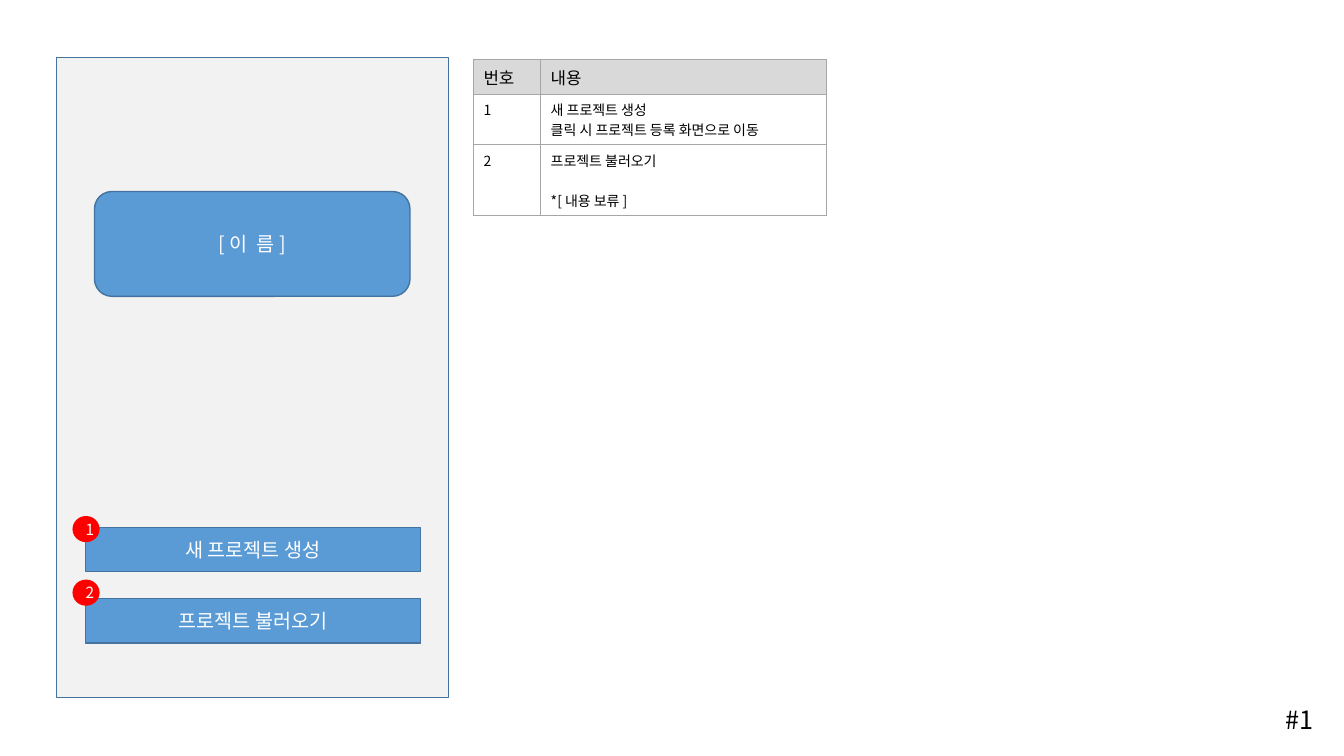
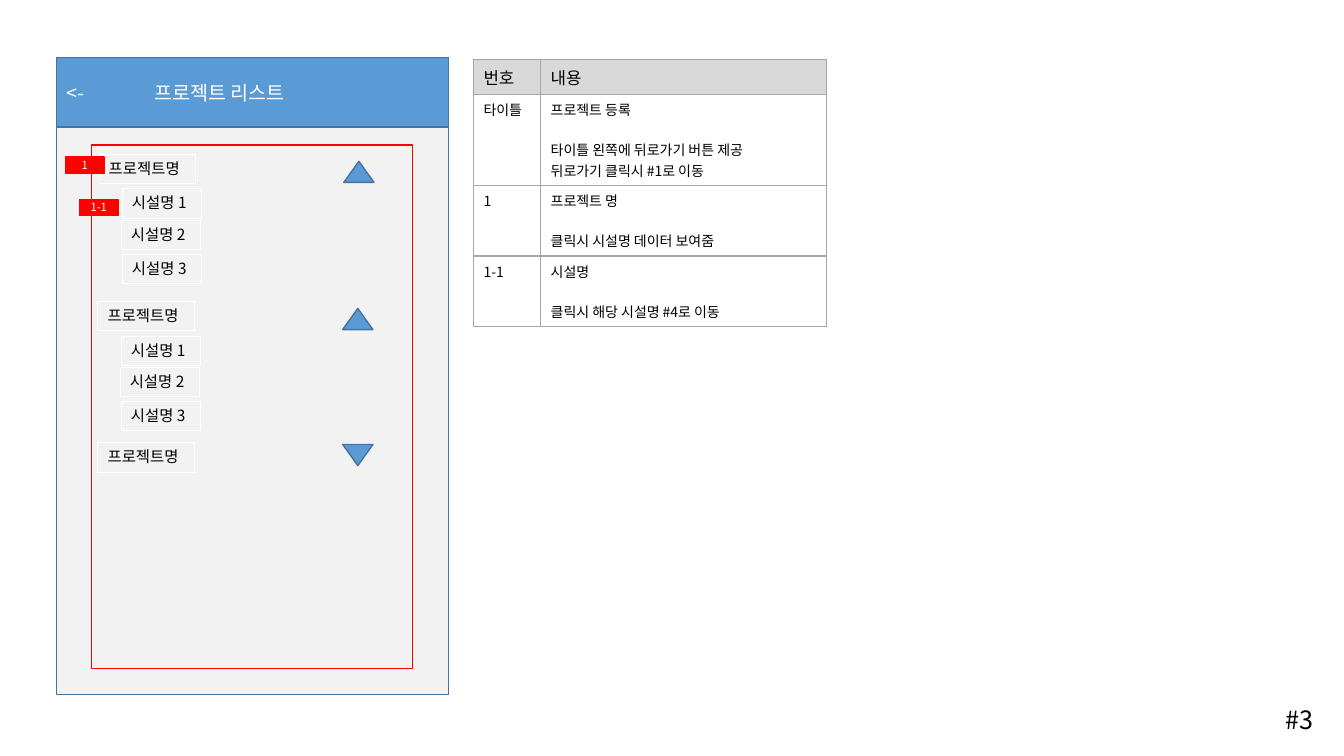
import pptx
import pptx.util
import pptx.dml.color
import pptx.enum.shapes
import pptx.enum.text
import pptx.oxml.ns
import lxml.etree
from collections import namedtuple
from dataclasses import dataclass

Pt = pptx.util.Pt
Shape = pptx.enum.shapes.MSO_SHAPE
Align = pptx.enum.text.PP_ALIGN
Anchor = pptx.enum.text.MSO_ANCHOR
qn = pptx.oxml.ns.qn
Box = namedtuple("Box", "left top width height")


@dataclass(frozen=True)
class Theme:
    font: str = "Noto Sans CJK KR"
    blue: str = "5B9BD5"
    edge: str = "43739E"
    panel: str = "F2F2F2"
    head: str = "D9D9D9"
    grid: str = "A6A6A6"
    red: str = "FF0000"
    white: str = "FFFFFF"
    black: str = "000000"
    page_size: int = 18
    button_size: int = 14
    head_size: int = 12
    label_size: int = 11
    body_size: int = 10
    tag_size: int = 8
    block_gap: float = 14.4


THEME = Theme()
PANEL = Box(40.3, 41, 280, 457.2)
LIST_PANEL = PANEL._replace(height=455)
TABLE = Box(338.2, 42.5, 252.4, 0)
NUMBER_WIDTH = 48
HEAD_HEIGHT = 25
PAGE_TAG = Box(911.2, 499.3, 35.3, 28.8)


def color(value):
    return pptx.dml.color.RGBColor.from_string(value)


def inside(box, left, top, width, height):
    """Box given by its offset from the corner of another box."""
    return Box(box.left + left, box.top + top, width, height)


def write(frame, text, size=THEME.body_size, ink=THEME.black, align=Align.LEFT):
    """Blank lines part blocks, shown as space before the next block."""
    para = None
    for block in text.split("\n\n"):
        for index, line in enumerate(block.split("\n")):
            gap = THEME.block_gap if para is not None and index == 0 else 0
            para = frame.paragraphs[0] if para is None else frame.add_paragraph()
            para.alignment = align
            para.space_before = Pt(gap)
            span = para.add_run()
            span.text = line
            span.font.size = Pt(size)
            span.font.color.rgb = color(ink)
            span.font.name = THEME.font
            asian = lxml.etree.SubElement(span._r.get_or_add_rPr(), qn("a:ea"))
            asian.set("typeface", THEME.font)
    return para


def paint(shape, fill=None, line=None, weight=1):
    if fill:
        shape.fill.solid()
        shape.fill.fore_color.rgb = color(fill)
    else:
        shape.fill.background()
    if line:
        shape.line.color.rgb = color(line)
        shape.line.width = Pt(weight)
    else:
        shape.line.fill.background()


def add_block(page, kind, box, fill=THEME.blue, line=THEME.edge, text=None,
              size=THEME.button_size):
    shape = page.shapes.add_shape(kind, *map(Pt, box))
    shape.shadow.inherit = False
    paint(shape, fill, line)
    if text:
        shape.text_frame.vertical_anchor = Anchor.MIDDLE
        write(shape.text_frame, text, size=size, ink=THEME.white, align=Align.CENTER)
    return shape


def add_label(page, box, text, size=THEME.label_size):
    label = page.shapes.add_textbox(*map(Pt, box))
    paint(label, line=THEME.white, weight=0.25)
    label.text_frame.word_wrap = False
    write(label.text_frame, text, size=size)


def style_cell(cell, fill):
    props = cell._tc.get_or_add_tcPr()
    for side in ("lnL", "lnR", "lnT", "lnB"):
        border = lxml.etree.SubElement(props, qn("a:" + side), w=str(Pt(1)))
        solid = lxml.etree.SubElement(border, qn("a:solidFill"))
        lxml.etree.SubElement(solid, qn("a:srgbClr"), val=THEME.grid)
    cell.fill.solid()
    cell.fill.fore_color.rgb = color(fill)


def add_notes_table(page, box, rows):
    """Each row holds its height, number and description."""
    rows = [(HEAD_HEIGHT, "번호", "내용")] + rows
    height = sum(row[0] for row in rows)
    table = page.shapes.add_table(len(rows), 2, *map(Pt, box._replace(height=height))).table
    table.columns[0].width = Pt(NUMBER_WIDTH)
    table.columns[1].width = Pt(box.width - NUMBER_WIDTH)
    for index, (row_height, *texts) in enumerate(rows):
        table.rows[index].height = Pt(row_height)
        for column, text in enumerate(texts):
            cell = table.cell(index, column)
            style_cell(cell, THEME.white if index else THEME.head)
            write(cell.text_frame, text,
                  size=THEME.body_size if index else THEME.head_size)


def add_screen(page, box):
    return add_block(page, Shape.RECTANGLE, box, fill=THEME.panel)


def add_title_bar(page, screen, box, text):
    """Title placeholder as the blue bar, set in front of the screen."""
    title = page.shapes.title
    title.left, title.top, title.width, title.height = map(Pt, box)
    paint(title, THEME.blue, THEME.edge)
    screen.element.addnext(title.element)
    frame = title.text_frame
    frame.auto_size = pptx.enum.text.MSO_AUTO_SIZE.NONE
    frame.vertical_anchor = Anchor.MIDDLE
    para = write(frame, text, size=THEME.button_size, ink=THEME.white)
    stops = lxml.etree.SubElement(para._p.get_or_add_pPr(), qn("a:tabLst"))
    lxml.etree.SubElement(stops, qn("a:tab"), pos=str(Pt(62.5)), algn="l")


def add_project(page, box, facilities, arrow_top):
    """Project name, its arrow and, when open, its facilities."""
    add_label(page, box, "프로젝트명")
    arrow = add_block(page, Shape.ISOSCELES_TRIANGLE,
                      inside(box, 175, arrow_top, 21.6, 15.1))
    if not facilities:
        arrow.rotation = 180
    offsets = ((16.6, 24.5), (15.8, 46.8), (16.6, 71.3))
    for number, (left, top) in enumerate(offsets[:facilities], 1):
        add_label(page, inside(box, left, top, 56.9, 20.9), f"시설명 {number}")


def build_start(deck):
    page = deck.slides.add_slide(deck.slide_layouts[6])
    add_screen(page, PANEL)
    add_block(page, Shape.ROUNDED_RECTANGLE, inside(PANEL, 27.2, 95.8, 225.4, 74.9),
              text="[ 이  름 ]")
    # Buttons with numbered badges
    for index, text in enumerate(("새 프로젝트 생성", "프로젝트 불러오기")):
        add_block(page, Shape.RECTANGLE,
                  inside(PANEL, 20.9, 335.6 + 51.1 * index, 239, 31.7), text=text)
        add_block(page, Shape.OVAL,
                  inside(PANEL, 11.5, 327.6 + 45.4 * index, 19.4, 18.7),
                  fill=THEME.red, line=None, text=str(index + 1),
                  size=THEME.label_size)
    add_notes_table(page, TABLE, [
        (35.8, "1", "새 프로젝트 생성\n클릭 시 프로젝트 등록 화면으로 이동"),
        (50.6, "2", "프로젝트 불러오기\n\n*[ 내용 보류 ]"),
    ])
    add_label(page, PAGE_TAG, "#1", size=THEME.page_size)


def build_list(deck):
    page = deck.slides.add_slide(deck.slide_layouts[5])
    screen = add_screen(page, LIST_PANEL)
    add_title_bar(page, screen, LIST_PANEL._replace(height=49.7), "<-\t프로젝트 리스트")
    # Project list
    add_block(page, Shape.RECTANGLE, inside(LIST_PANEL, 25.2, 62.7, 229, 373.7),
              fill=None, line=THEME.red)
    for left, top, facilities, arrow_top in (
            (30.3, 69.2, 3, 5), (29.5, 174.3, 3, 5), (29.5, 275.1, 0, 1.4)):
        add_project(page, inside(LIST_PANEL, left, top, 69.1, 20.9),
                    facilities, arrow_top)
    # Numbered tags
    for left, top, text in ((6.5, 71.3, "1"), (16.6, 101.5, "1-1")):
        add_block(page, Shape.RECTANGLE, inside(LIST_PANEL, left, top, 27.4, 11.5),
                  fill=THEME.red, line=THEME.red, text=text, size=THEME.tag_size)
    add_notes_table(page, TABLE, [
        (64.8, "타이틀", "프로젝트 등록\n\n타이틀 왼쪽에 뒤로가기 버튼 제공\n"
                      "뒤로가기 클릭시 #1로 이동"),
        (50.6, "1", "프로젝트 명\n\n클릭시 시설명 데이터 보여줌"),
        (50.6, "1-1", "시설명\n\n클릭시 해당 시설명 #4로 이동"),
    ])
    add_label(page, PAGE_TAG, "#3", size=THEME.page_size)


deck = pptx.Presentation()
deck.slide_width, deck.slide_height = Pt(960), Pt(540)
build_start(deck)
build_list(deck)
deck.save("out.pptx")
